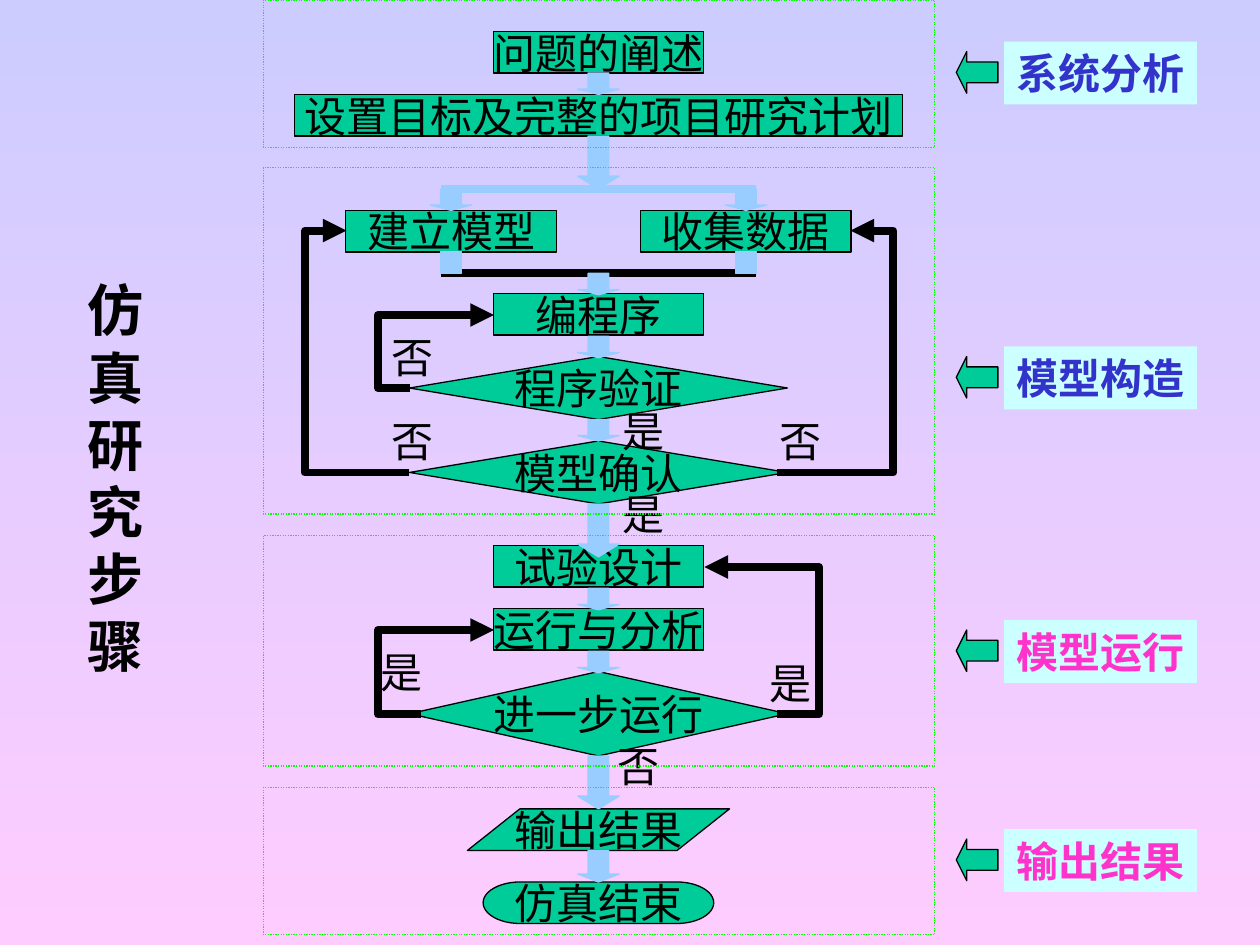
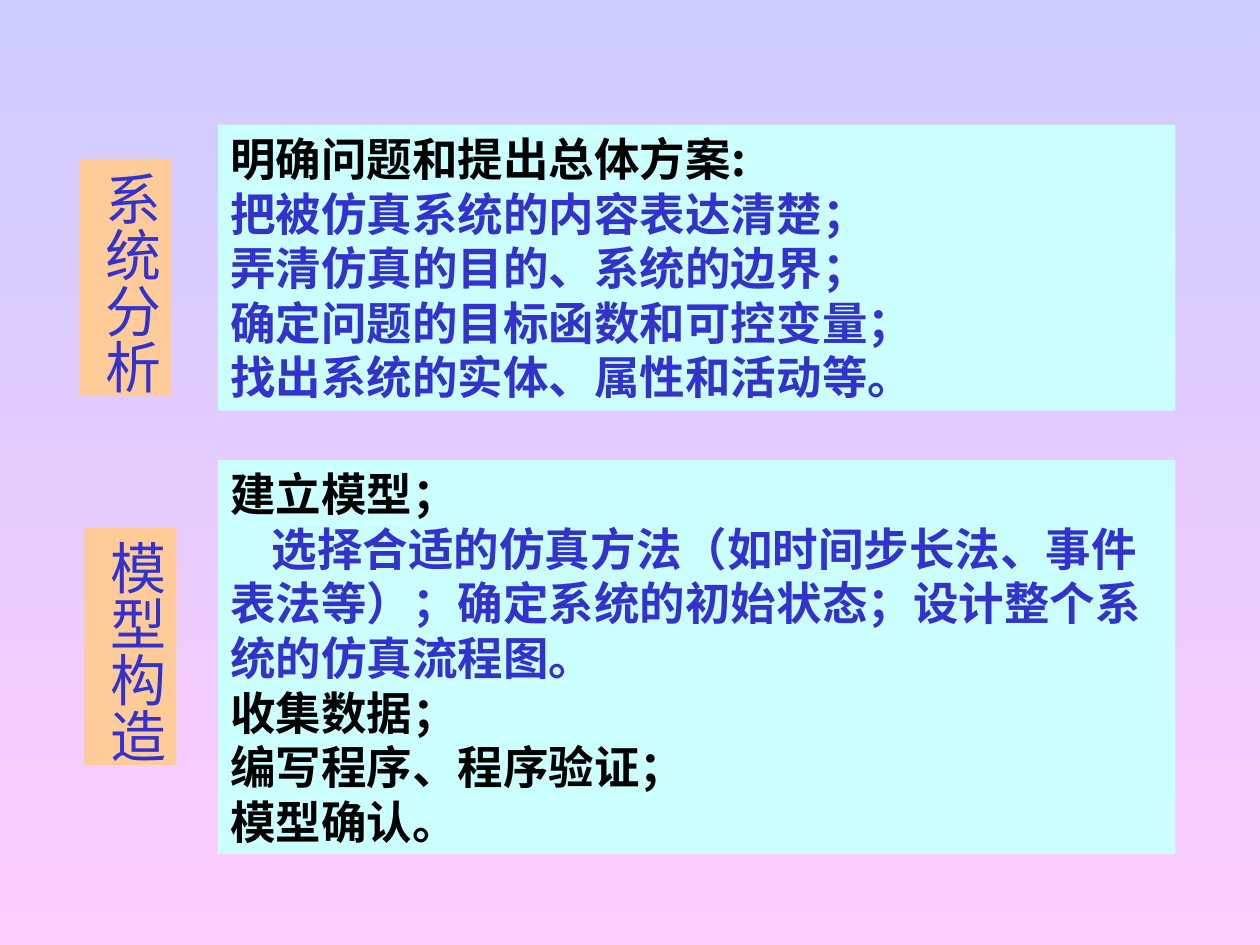
from dataclasses import dataclass

from lxml import etree
from pptx import Presentation
from pptx.dml.color import RGBColor
from pptx.enum.dml import MSO_LINE
from pptx.enum.shapes import MSO_CONNECTOR, MSO_SHAPE
from pptx.enum.text import MSO_ANCHOR, PP_ALIGN
from pptx.oxml.ns import qn
from pptx.util import Inches, Pt

RECT = MSO_SHAPE.RECTANGLE
DECISION = MSO_SHAPE.FLOWCHART_DECISION
OUTPUT = MSO_SHAPE.FLOWCHART_DATA
TERMINATOR = MSO_SHAPE.FLOWCHART_TERMINATOR
DOWN_ARROW = MSO_SHAPE.DOWN_ARROW
LEFT_ARROW = MSO_SHAPE.LEFT_ARROW
TOP, MIDDLE = MSO_ANCHOR.TOP, MSO_ANCHOR.MIDDLE
LEFT, CENTER = PP_ALIGN.LEFT, PP_ALIGN.CENTER


@dataclass(frozen=True)
class Theme:
    sky: str = "CCCCFF"
    pink: str = "FFCCFF"
    ink: str = "000000"
    node: str = "00CC99"
    flow: str = "99CCFF"
    frame: str = "00FF00"
    panel: str = "CCFFFF"
    tag: str = "FFCC99"
    blue: str = "3333CC"
    magenta: str = "FF33CC"
    serif: str = "Times New Roman"
    sans: str = "Noto Sans CJK SC"
    title_size: int = 32
    panel_size: int = 26
    node_size: int = 24
    leading: float = 1.2
    thin: float = 0.75
    thick: float = 4.5


THEME = Theme()

# Flow chart: everything on the main axis is centred on CENTRE.
CENTRE = 4.75
BRANCHES = (3.58, 5.92)
STEP_WIDTH, STEP_HEIGHT = 1.67, 0.33
ARROW_WIDTH = 0.33
JOINT = 0.17

TITLE = "仿真研究步骤"

# text, shape, centre x, top, width, height
NODES = [
    ("问题的阐述", RECT, CENTRE, 0.25, STEP_WIDTH, STEP_HEIGHT),
    ("设置目标及完整的项目研究计划", RECT, CENTRE, 0.75, 4.83, STEP_HEIGHT),
    ("建立模型", RECT, BRANCHES[0], 1.67, STEP_WIDTH, STEP_HEIGHT),
    ("收集数据", RECT, BRANCHES[1], 1.67, STEP_WIDTH, STEP_HEIGHT),
    ("编程序", RECT, CENTRE, 2.33, STEP_WIDTH, STEP_HEIGHT),
    ("程序验证", DECISION, CENTRE, 2.83, 3, 0.5),
    ("模型确认", DECISION, CENTRE, 3.5, 3, 0.5),
    ("试验设计", RECT, CENTRE, 4.33, STEP_WIDTH, STEP_HEIGHT),
    ("运行与分析", RECT, CENTRE, 4.83, STEP_WIDTH, STEP_HEIGHT),
    ("进一步运行", DECISION, CENTRE, 5.33, 3, 0.67),
    ("输出结果", OUTPUT, CENTRE, 6.42, 2.08, STEP_HEIGHT),
    ("仿真结束", TERMINATOR, CENTRE, 7, 1.83, STEP_HEIGHT),
]

# top, height of the arrows on the main axis
AXIS_ARROWS = [
    (0.58, 0.17), (1.08, 0.42), (2.17, 0.17), (2.67, 0.17), (3.33, 0.17),
    (4, 0.42), (4.67, 0.17), (5.17, 0.17), (6, 0.42), (6.75, 0.25),
]
SPLIT_Y, MERGE_Y = 1.5, 2.17

LOOPS = [
    [(3.25, 3.08), (3, 3.08), (3, 2.5), (3.92, 2.5)],
    [(3.25, 3.75), (2.42, 3.75), (2.42, 1.83), (2.75, 1.83)],
    [(6.17, 3.75), (7.09, 3.75), (7.09, 1.83), (6.75, 1.83)],
    [(3.34, 5.67), (3, 5.67), (3, 5), (3.92, 5)],
    [(6.17, 5.67), (6.5, 5.67), (6.5, 4.5), (5.59, 4.5)],
]

ANSWERS = {
    "是": [(2.92, 5.08), (6.01, 5.17), (4.84, 3.17), (4.84, 3.83)],
    "否": [(3.01, 2.58), (3.01, 3.25), (6.09, 3.25), (4.8, 5.83)],
}

# name, colour, label top, frame top, frame height
PHASES = [
    ("系统分析", THEME.blue, 0.33, 0, 1.17),
    ("模型构造", THEME.blue, 2.75, 1.33, 2.75),
    ("模型运行", THEME.magenta, 4.92, 4.25, 1.83),
    ("输出结果", THEME.magenta, 6.58, 6.25, 1.17),
]

# tag, tag left and top, panel top and height, paragraphs (text, colour, indent)
DETAILS = [
    ("系统分析", 0.63, 1.26, 0.99, 2.27, [
        ("明确问题和提出总体方案:", THEME.ink, 0),
        ("把被仿真系统的内容表达清楚；", THEME.blue, 0),
        ("弄清仿真的目的、系统的边界；", THEME.blue, 0),
        ("确定问题的目标函数和可控变量；", THEME.blue, 0),
        ("找出系统的实体、属性和活动等。", THEME.blue, 0),
    ]),
    ("模型构造", 0.67, 4.19, 3.65, 3.13, [
        ("建立模型；", THEME.ink, 0),
        ("选择合适的仿真方法（如时间步长法、事件表法等）；"
         "确定系统的初始状态；设计整个系统的仿真流程图。", THEME.blue, 0.33),
        ("收集数据；", THEME.ink, 0),
        ("编写程序、程序验证；", THEME.ink, 0),
        ("模型确认。", THEME.ink, 0),
    ]),
]


def rgb(value):
    return RGBColor.from_string(value)


def add_block(page, kind, left, top, width, height, fill=None, line=None):
    block = page.shapes.add_shape(
        kind, Inches(left), Inches(top), Inches(width), Inches(height))
    block.shadow.inherit = False
    if fill:
        block.fill.solid()
        block.fill.fore_color.rgb = rgb(fill)
    else:
        block.fill.background()
    if line:
        block.line.color.rgb = rgb(line)
        block.line.width = Pt(THEME.thin)
    else:
        block.line.fill.background()
    return block


def set_frame(box, anchor=TOP, wrap=False):
    frame = box.text_frame
    frame.word_wrap = wrap
    frame.vertical_anchor = anchor
    return frame


def set_leading(para, size, align=LEFT):
    para.alignment = align
    para.line_spacing = Pt(size * THEME.leading)


def add_span(para, text, size, color=THEME.ink, bold=False, font=THEME.serif):
    span = para.add_run()
    span.text = text
    span.font.size = Pt(size)
    span.font.bold = bold
    span.font.color.rgb = rgb(color)
    span.font.name = font
    properties = span.font._element
    east_asian = etree.SubElement(properties, qn("a:ea"))
    east_asian.set("typeface", THEME.sans)


def write_line(box, text, size, color=THEME.ink, bold=False,
               align=LEFT, anchor=TOP):
    para = set_frame(box, anchor).paragraphs[0]
    set_leading(para, size, align)
    add_span(para, text, size, color, bold)


def add_text_box(page, left, top, width, height):
    return page.shapes.add_textbox(
        Inches(left), Inches(top), Inches(width), Inches(height))


def add_title(page):
    """Write the title downwards, one character a line."""
    box = add_text_box(page, 0.33, 0.58, 1.17, 6.42)
    para = set_frame(box, MIDDLE, wrap=True).paragraphs[0]
    set_leading(para, THEME.title_size, CENTER)
    for index, character in enumerate(TITLE):
        if index:
            para.add_line_break()
        add_span(para, character, THEME.title_size, bold=True)


def add_flow_arrow(page, centre, top, height):
    arrow = add_block(page, DOWN_ARROW, centre - ARROW_WIDTH / 2, top,
                      ARROW_WIDTH, height, THEME.flow, THEME.flow)
    arrow.adjustments[1] = 0.31 if height > 0.4 else 0.25


def add_bar(page, y, color):
    bar = page.shapes.add_connector(
        MSO_CONNECTOR.STRAIGHT, Inches(3.5), Inches(y), Inches(6), Inches(y))
    bar.line.color.rgb = rgb(color)
    bar.line.width = Pt(THEME.thick)
    etree.SubElement(bar._element.spPr, qn("a:effectLst"))


def add_loop(page, points):
    """Draw an open path that ends in an arrowhead."""
    start, *rest = [(Inches(x), Inches(y)) for x, y in points]
    builder = page.shapes.build_freeform(*start)
    builder.add_line_segments(rest, close=False)
    loop = builder.convert_to_shape()
    loop.shadow.inherit = False
    loop.fill.background()
    loop.line.color.rgb = rgb(THEME.ink)
    loop.line.width = Pt(THEME.thick)
    head = etree.SubElement(loop.line._get_or_add_ln(), qn("a:tailEnd"))
    head.set("type", "triangle")


def add_phase(page, name, color, label_top, frame_top, frame_height):
    frame = add_block(page, RECT, 2.09, frame_top, 5.33, frame_height,
                      line=THEME.frame)
    frame.line.dash_style = MSO_LINE.ROUND_DOT
    label = add_block(page, RECT, 7.97, label_top, 1.53, 0.5, THEME.panel)
    write_line(label, name, THEME.node_size, color, bold=True)
    arrow = add_block(page, LEFT_ARROW, 7.59, label_top + 0.08, 0.33, 0.33,
                      THEME.node, THEME.ink)
    arrow.adjustments[1] = 0.25


def build_flow_page(page):
    add_title(page)
    for text, kind, centre, top, width, height in NODES:
        node = add_block(page, kind, centre - width / 2, top, width, height,
                         THEME.node, THEME.ink)
        write_line(node, text, THEME.node_size, align=CENTER, anchor=MIDDLE)
    add_bar(page, SPLIT_Y, THEME.flow)
    add_bar(page, MERGE_Y, THEME.ink)
    for centre in BRANCHES:
        add_flow_arrow(page, centre, SPLIT_Y, 0.17)
        add_block(page, RECT, centre - JOINT / 2, MERGE_Y - JOINT, JOINT, JOINT,
                  THEME.flow, THEME.flow)
    for top, height in AXIS_ARROWS:
        add_flow_arrow(page, CENTRE, top, height)
    for points in LOOPS:
        add_loop(page, points)
    for answer, places in ANSWERS.items():
        for left, top in places:
            box = add_text_box(page, left, top, 0.53, 0.5)
            write_line(box, answer, THEME.node_size)
    for phase in PHASES:
        add_phase(page, *phase)


def add_panel(page, top, height, paragraphs):
    panel = add_block(page, RECT, 1.73, top, 7.6, height, THEME.panel)
    frame = set_frame(panel, wrap=True)
    for index, (text, color, indent) in enumerate(paragraphs):
        para = frame.add_paragraph() if index else frame.paragraphs[0]
        set_leading(para, THEME.panel_size)
        if indent:
            para._p.get_or_add_pPr().set("indent", str(Inches(indent)))
        add_span(para, text, THEME.panel_size, color, True, THEME.sans)


def add_vertical_tag(page, text, left, top):
    tag = add_block(page, RECT, left, top, 0.73, 1.88, THEME.tag)
    write_line(tag, text, THEME.title_size, THEME.blue)
    frame = tag.text_frame
    frame.margin_left = frame.margin_right = Inches(0.05)
    frame.margin_top = frame.margin_bottom = Inches(0.1)
    frame._txBody.bodyPr.set("vert", "eaVert")


def build_detail_page(page):
    for name, left, tag_top, panel_top, height, paragraphs in DETAILS:
        add_panel(page, panel_top, height, paragraphs)
        add_vertical_tag(page, name, left, tag_top)


def set_background(master):
    fill = master.background.fill
    fill.gradient()
    fill.gradient_angle = 270
    for stop, color, position in zip(
            fill.gradient_stops, (THEME.sky, THEME.pink), (0, 1)):
        stop.color.rgb = rgb(color)
        stop.position = position


def main():
    deck = Presentation()
    deck.slide_width, deck.slide_height = Inches(10), Inches(7.5)
    set_background(deck.slide_master)
    for build in (build_flow_page, build_detail_page):
        build(deck.slides.add_slide(deck.slide_layouts[6]))
    deck.save("out.pptx")


if __name__ == "__main__":
    main()
